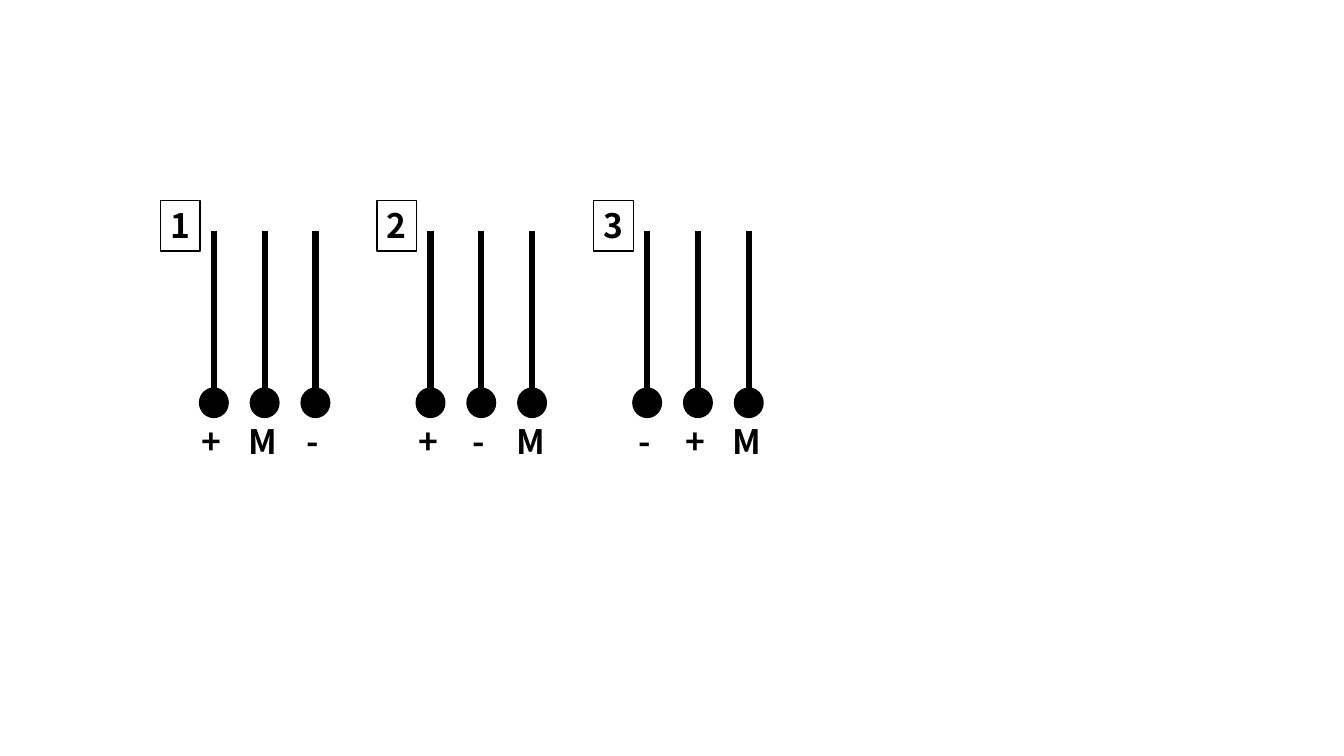
from dataclasses import dataclass

from lxml.etree import SubElement
from pptx import Presentation
from pptx.dml.color import RGBColor
from pptx.enum.shapes import MSO_CONNECTOR, MSO_SHAPE
from pptx.enum.text import MSO_ANCHOR, MSO_AUTO_SIZE, PP_ALIGN
from pptx.oxml.ns import qn
from pptx.shapes.autoshape import Shape
from pptx.shapes.shapetree import GroupShapes
from pptx.util import Cm, Pt

BLACK = RGBColor(0, 0, 0)
WHITE = RGBColor(255, 255, 255)
FONT = {"name": "Noto Sans CJK SC", "size": Pt(24), "bold": True}
FRAME = {
    "word_wrap": False,
    "auto_size": MSO_AUTO_SIZE.SHAPE_TO_FIT_TEXT,
    "vertical_anchor": MSO_ANCHOR.TOP,
}
WIDTHS = {"+": 1.12, "M": 1.3, "-": 0.94}
LEFT, STEP = 4.04, 5.46
INSET, PITCH = 1.35, 1.28
TOP, BALL = 5.82, 9.78
BALL_W, BALL_H = 0.72, 0.74


@dataclass
class Plug:
    number: str
    signs: str


PLUGS = [Plug("1", "+M-"), Plug("2", "+-M"), Plug("3", "-+M")]


def set_all(item: object, values: dict) -> None:
    for key, value in values.items():
        setattr(item, key, value)


def write(shape: Shape, text: str) -> None:
    frame = shape.text_frame
    set_all(frame, FRAME)
    line = frame.paragraphs[0]
    line.alignment = PP_ALIGN.LEFT
    run = line.add_run()
    run.text = text
    set_all(run.font, FONT)
    run.font.color.rgb = BLACK


def add_form(group: GroupShapes, kind: MSO_SHAPE, x: float, y: float,
             w: float, h: float, fill: RGBColor) -> Shape:
    shape = group.add_shape(kind, Cm(x), Cm(y), Cm(w), Cm(h))
    shape.shadow.inherit = False
    shape.fill.solid()
    shape.fill.fore_color.rgb = fill
    shape.line.color.rgb = BLACK
    shape.line.width = Pt(1)
    return shape


def add_pin(group: GroupShapes, x: float, sign: str) -> None:
    ball = add_form(group, MSO_SHAPE.OVAL, x - BALL_W / 2, BALL,
                    BALL_W, BALL_H, BLACK)
    wire = group.add_connector(MSO_CONNECTOR.STRAIGHT,
                               Cm(x), Cm(BALL), Cm(x), Cm(TOP))
    wire.begin_connect(ball, 0)
    wire.end_x = wire.begin_x
    wire.line.color.rgb = BLACK
    wire.line.width = Pt(4.5)
    SubElement(wire._element.spPr, qn("a:effectLst"))
    width = WIDTHS[sign]
    label = group.add_textbox(Cm(x - width / 2), Cm(10.49),
                              Cm(width), Cm(1.28))
    write(label, sign)


def add_plug(shapes: GroupShapes, plug: Plug, x: float) -> None:
    group = shapes.add_group_shape().shapes
    for i, sign in enumerate(plug.signs):
        add_pin(group, x + INSET + i * PITCH, sign)
    badge = add_form(group, MSO_SHAPE.RECTANGLE, x, 5.05, 1, 1.28, WHITE)
    write(badge, plug.number)


def main() -> None:
    deck = Presentation()
    set_all(deck, {"slide_width": Cm(33.87), "slide_height": Cm(19.05)})
    slide = deck.slides.add_slide(deck.slide_layouts[6])
    for i, plug in enumerate(PLUGS):
        add_plug(slide.shapes, plug, LEFT + i * STEP)
    deck.save("out.pptx")


if __name__ == "__main__":
    main()
